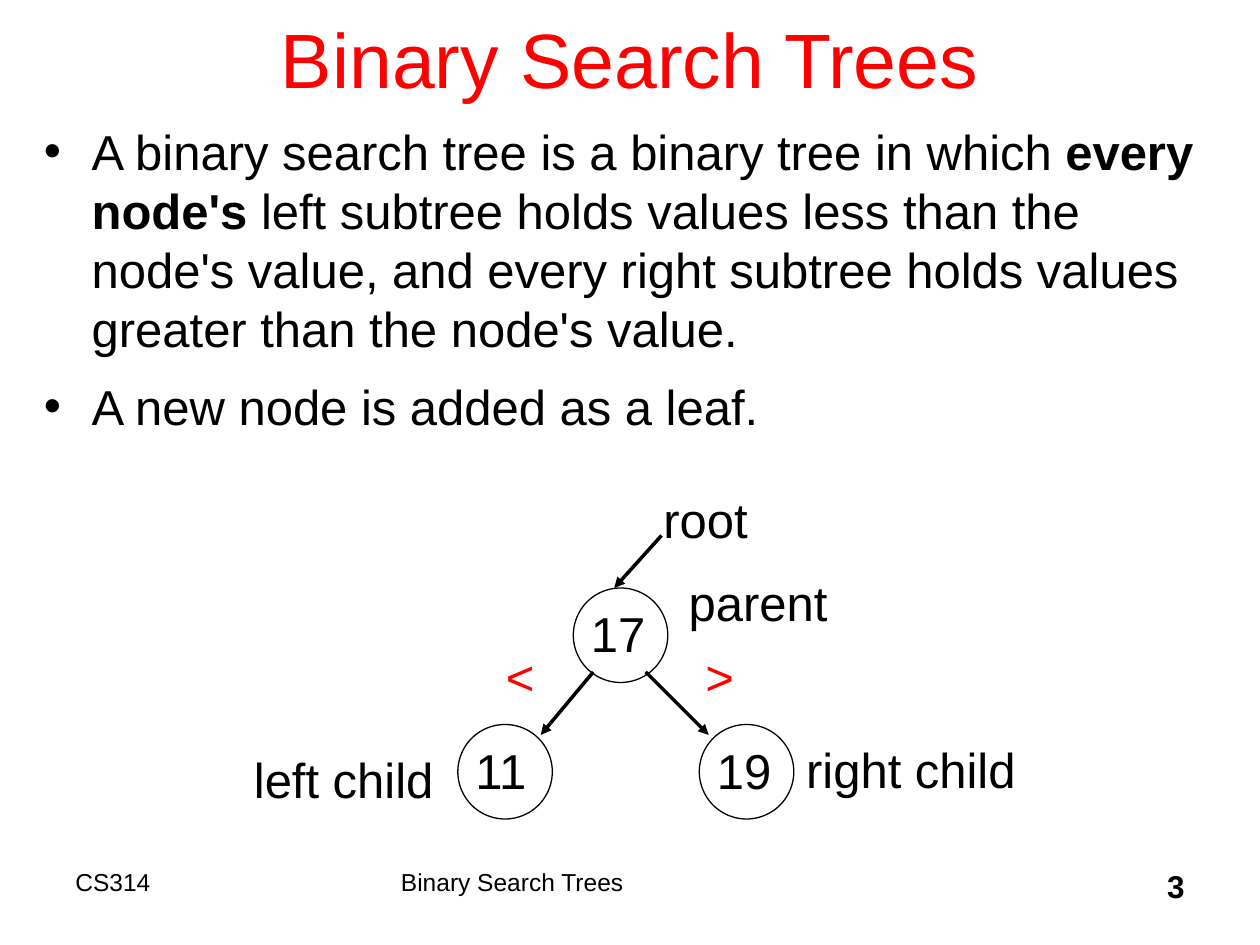
from dataclasses import dataclass

from lxml import etree
from pptx import Presentation
from pptx.dml.color import RGBColor
from pptx.enum.shapes import MSO_CONNECTOR, MSO_SHAPE
from pptx.enum.text import MSO_ANCHOR, PP_ALIGN
from pptx.oxml.ns import qn
from pptx.util import Inches, Pt

LEFT, MID, RIGHT = PP_ALIGN.LEFT, PP_ALIGN.CENTER, PP_ALIGN.RIGHT
TOP, CENTER = MSO_ANCHOR.TOP, MSO_ANCHOR.MIDDLE
OVAL = MSO_SHAPE.OVAL
STRAIGHT = MSO_CONNECTOR.STRAIGHT
COLS, ROWS = 120, 90
UNIT = Inches(10) // COLS


@dataclass(frozen=True)
class Theme:
    font: str = "Arial"
    ink: RGBColor = RGBColor(0, 0, 0)
    accent: RGBColor = RGBColor(255, 0, 0)
    title: int = 44
    body: int = 28
    page: int = 18
    foot: int = 14
    gap: int = 11
    thin: float = 0.75
    thick: float = 2


THEME = Theme()


def grid(*cells):
    """Turn grid columns and rows into lengths."""
    return [round(cell * UNIT) for cell in cells]


def write(frame, paras, size=THEME.body, color=THEME.ink, bold=False,
          align=LEFT, anchor=TOP, bullet=False):
    """Fill a frame; each paragraph is a list of (text, bold) runs or a string."""
    frame.word_wrap = True
    frame.vertical_anchor = anchor
    for i, runs in enumerate(paras):
        para = frame.add_paragraph() if i else frame.paragraphs[0]
        para.alignment = align
        if i:
            para.space_before = Pt(THEME.gap)
        if bullet:
            mark(para)
        for text, strong in [(runs, bold)] if isinstance(runs, str) else runs:
            run = para.add_run()
            run.text = text
            font = run.font
            font.name, font.size, font.bold = THEME.font, Pt(size), strong
            font.color.rgb = color


def mark(para):
    """Give a paragraph a bullet and a hanging indent."""
    props = para._p.get_or_add_pPr()
    hang = Inches(0.38)
    props.set("marL", str(hang))
    props.set("indent", str(-hang))
    etree.SubElement(props, qn("a:buFont"), typeface=THEME.font)
    etree.SubElement(props, qn("a:buChar"), char="•")


def label(slide, box, text, **form):
    frame = slide.shapes.add_textbox(*grid(*box)).text_frame
    write(frame, [text], **form)


def arrow(slide, start, end):
    line = slide.shapes.add_connector(STRAIGHT, *grid(*start, *end))
    line.line.color.rgb = THEME.ink
    line.line.width = Pt(THEME.thick)
    etree.SubElement(line.line._get_or_add_ln(), qn("a:tailEnd"), type="triangle")
    etree.SubElement(line._element.spPr, qn("a:effectLst"))


def node(slide, x, y, value):
    ring = slide.shapes.add_shape(OVAL, *grid(x, y, 9, 9))
    ring.shadow.inherit = False
    ring.fill.background()
    ring.line.color.rgb = THEME.ink
    ring.line.width = Pt(THEME.thin)
    label(slide, (x + 0.5, y + 0.9, 8, 7), value)


def head(slide, box):
    title = slide.shapes.title
    title.left, title.top, title.width, title.height = grid(*box)
    write(title.text_frame, ["Binary Search Trees"], size=THEME.title,
          color=THEME.accent, align=MID, anchor=CENTER)


def body(slide, box):
    frame = slide.shapes.add_textbox(*grid(*box)).text_frame
    rule = [
        ("A binary search tree is a binary tree in which ", False),
        ("every node's ", True),
        ("left subtree holds values less than the node's value, and every "
         "right subtree holds values greater than the node's value.", False),
    ]
    write(frame, [rule, "A new node is added as a leaf."], bullet=True)


def tree(slide, box):
    left, top, *_ = box
    for x, y, value in [(31.6, 10, "17"), (20.6, 23, "11"), (43.6, 23, "19")]:
        node(slide, left + x, top + y, value)
    for x, y, dx, dy in [(40, 5, -4.5, 5), (33.5, 18, -5, 6), (38.5, 18, 6, 6)]:
        start = left + x, top + y
        arrow(slide, start, (start[0] + dx, start[1] + dy))
    names = [
        (39, 0, 11, "root", THEME.ink),
        (41.4, 7.9, 16.5, "parent", THEME.ink),
        (0, 24.8, 20, "left child", THEME.ink),
        (52.6, 23.8, 23, "right child", THEME.ink),
        (24, 15, 5.5, "<", THEME.accent),
        (43, 15, 5.5, ">", THEME.accent),
    ]
    for x, y, width, text, color in names:
        label(slide, (left + x, top + y, width, 7), text, color=color)


def foot(slide, box):
    left, top, _, high = box
    label(slide, (left, top, 30, high), "CS314", size=THEME.foot)
    label(slide, (left + 31, top, 46, high), "Binary Search Trees", size=THEME.foot)
    label(slide, (left + 83, top, 25, high), "3", size=THEME.page,
          bold=True, align=RIGHT)


def main():
    deck = Presentation()
    deck.slide_width, deck.slide_height = grid(COLS, ROWS)
    slide = deck.slides.add_slide(deck.slide_layouts[5])
    head(slide, (9, -2, 102, 15))
    body(slide, (3, 11, 114, 72))
    tree(slide, (23, 46, 75, 32))
    foot(slide, (6, 82, 108, 6))
    deck.save("out.pptx")


if __name__ == "__main__":
    main()
